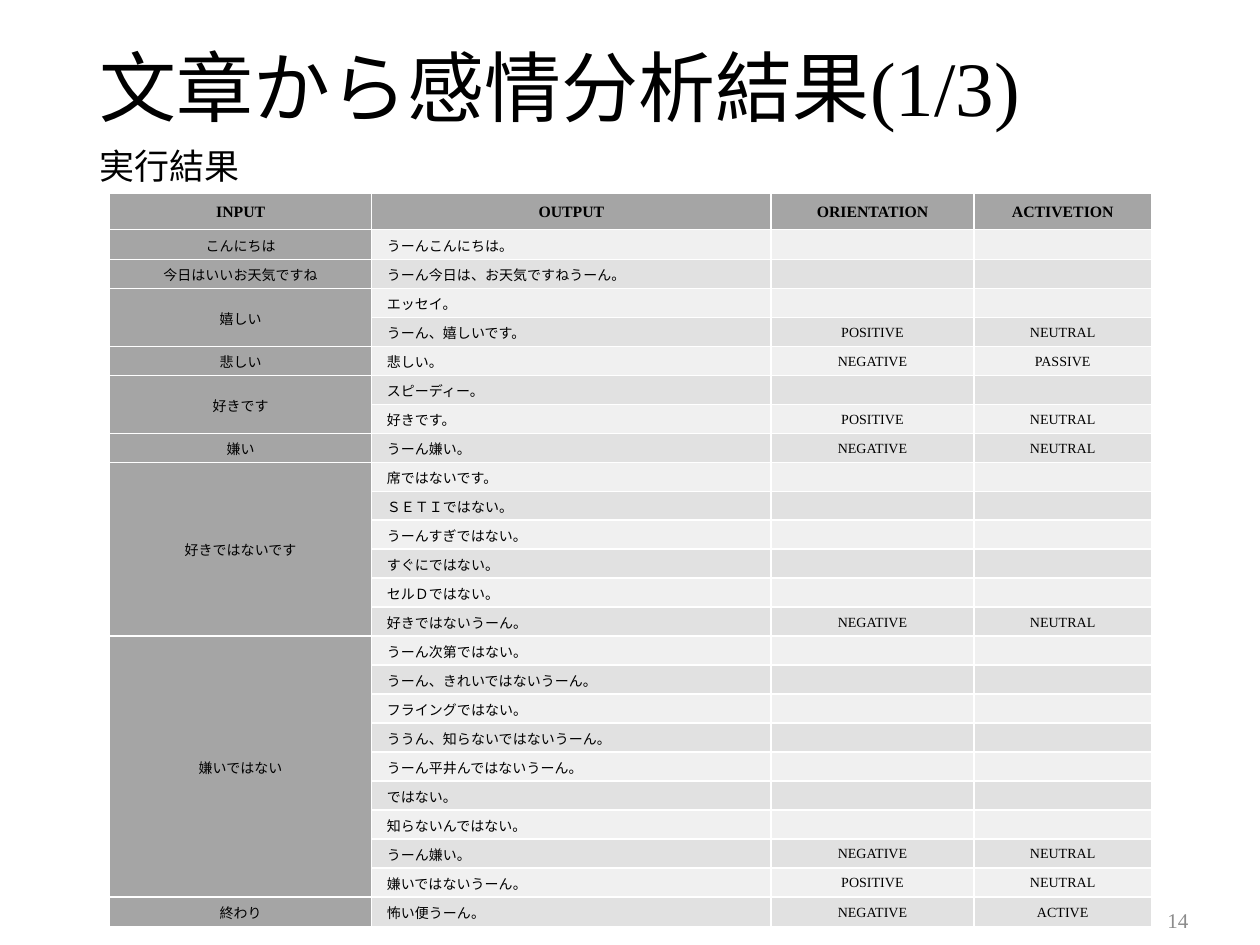
import pptx
import pptx.dml.color
import pptx.enum.text
import pptx.oxml.ns
import pptx.util
from lxml import etree

Inches, Pt = pptx.util.Inches, pptx.util.Pt
ALIGN = pptx.enum.text.PP_ALIGN
ANCHOR = pptx.enum.text.MSO_ANCHOR
AUTO_SIZE = pptx.enum.text.MSO_AUTO_SIZE
qn = pptx.oxml.ns.qn

HEADINGS = ["INPUT", "OUTPUT", "ORIENTATION", "ACTIVETION"]
COL_WIDTHS = [2.08, 3.17, 1.61, 1.41]

# Each input with its outputs: (sentence, orientation, activation)
RESULTS = [
    ("こんにちは", [("うーんこんにちは。",)]),
    ("今日はいいお天気ですね", [("うーん今日は、お天気ですねうーん。",)]),
    ("嬉しい", [("エッセイ。",), ("うーん、嬉しいです。", "POSITIVE", "NEUTRAL")]),
    ("悲しい", [("悲しい。", "NEGATIVE", "PASSIVE")]),
    ("好きです", [("スピーディー。",), ("好きです。", "POSITIVE", "NEUTRAL")]),
    ("嫌い", [("うーん嫌い。", "NEGATIVE", "NEUTRAL")]),
    ("好きではないです", [
        ("席ではないです。",),
        ("ＳＥＴＩではない。",),
        ("うーんすぎではない。",),
        ("すぐにではない。",),
        ("セルＤではない。",),
        ("好きではないうーん。", "NEGATIVE", "NEUTRAL"),
    ]),
    ("嫌いではない", [
        ("うーん次第ではない。",),
        ("うーん、きれいではないうーん。",),
        ("フライングではない。",),
        ("ううん、知らないではないうーん。",),
        ("うーん平井んではないうーん。",),
        ("ではない。",),
        ("知らないんではない。",),
        ("うーん嫌い。", "NEGATIVE", "NEUTRAL"),
        ("嫌いではないうーん。", "POSITIVE", "NEUTRAL"),
    ]),
    ("終わり", [("怖い便うーん。", "NEGATIVE", "ACTIVE")]),
]


def rgb(value):
    return pptx.dml.color.RGBColor.from_string(value)


class SlideBuilder:
    font = "Times New Roman"
    ink, muted, line = "000000", "8C8C8C", "FFFFFF"
    head, bands = "A5A5A5", ("F0F0F0", "E1E1E1")

    def __init__(self, prs):
        self.slide = prs.slides.add_slide(prs.slide_layouts[5])

    def format(self, p, size, color=ink, bold=False, align=ALIGN.LEFT):
        p.alignment = align
        for r in p.runs:
            r.font.name = self.font
            r.font.size = Pt(size)
            r.font.bold = bold
            r.font.color.rgb = rgb(color)

    def title(self, text, left, top, width, height):
        sp = self.slide.shapes.title
        sp.left, sp.top = Inches(left), Inches(top)
        sp.width, sp.height = Inches(width), Inches(height)
        tf = sp.text_frame
        tf.text = text
        tf.word_wrap = True
        tf.auto_size = AUTO_SIZE.NONE
        tf.vertical_anchor = ANCHOR.MIDDLE
        tf.paragraphs[0].line_spacing = 0.9
        self.format(tf.paragraphs[0], 44)

    def text(self, text, left, top, width, height, size, wrap=True,
             anchor=ANCHOR.TOP, **style):
        sp = self.slide.shapes.add_textbox(
            Inches(left), Inches(top), Inches(width), Inches(height))
        tf = sp.text_frame
        tf.text = text
        tf.word_wrap = wrap
        tf.vertical_anchor = anchor
        self.format(tf.paragraphs[0], size, **style)

    def cell(self, cell, text, fill, size=8, bold=False, align=ALIGN.CENTER):
        indented = align == ALIGN.LEFT
        cell.margin_left = Inches(0.12 if indented else 0.01)
        cell.margin_right = cell.margin_top = Inches(0.01)
        cell.margin_bottom = 0
        cell.vertical_anchor = ANCHOR.MIDDLE
        p = cell.text_frame.paragraphs[0]
        if text:
            p.text = text
        self.format(p, size, bold=bold, align=align)
        if not text:  # keeps an empty cell from stretching its row
            etree.SubElement(p._p, qn("a:endParaRPr"), sz=str(size * 100))
        self.borders(cell)
        cell.fill.solid()
        cell.fill.fore_color.rgb = rgb(fill)

    def borders(self, cell):
        tc_pr = cell._tc.get_or_add_tcPr()
        for side in ("a:lnL", "a:lnR", "a:lnT", "a:lnB"):
            ln = etree.SubElement(tc_pr, qn(side), w=str(Pt(1)))
            solid = etree.SubElement(ln, qn("a:solidFill"))
            etree.SubElement(solid, qn("a:srgbClr"), val=self.line)

    def results_table(self, left, top, headings, results, col_widths):
        count = sum(len(outputs) for _, outputs in results)
        heights = [0.29, 0.24] + [0.23] * (count - 2) + [0.24]
        table = self.slide.shapes.add_table(
            count + 1, len(headings), Inches(left), Inches(top),
            Inches(sum(col_widths)), Inches(sum(heights))).table
        table.first_row = table.horz_banding = False
        for column, width in zip(table.columns, col_widths):
            column.width = Inches(width)
        for row, height in zip(table.rows, heights):
            row.height = Inches(height)

        # Heading row
        for col, heading in enumerate(headings):
            self.cell(table.cell(0, col), heading, self.head, 9, bold=True)

        # One merged input cell beside its banded output rows
        row = 1
        for source, outputs in results:
            first = row
            for output, *labels in outputs:
                band = self.bands[(row - 1) % 2]
                self.cell(table.cell(row, 0),
                          source if row == first else "", self.head)
                self.cell(table.cell(row, 1), output, band, align=ALIGN.LEFT)
                for col, label in enumerate(labels or ("", ""), start=2):
                    self.cell(table.cell(row, col), label, band)
                row += 1
            if len(outputs) > 1:
                table.cell(first, 0).merge(table.cell(row - 1, 0))


def main():
    prs = pptx.Presentation()
    prs.slide_width, prs.slide_height = Inches(10), Inches(7.5)
    s = SlideBuilder(prs)

    # Title and subtitle
    s.title("文章から感情分析結果(1/3)", 0.69, 0.36, 8.62, 0.74)
    s.text("実行結果", 0.69, 1.1, 1.32, 0.44, 20, wrap=False)

    # Page number
    s.text("14", 7.28, 7.1, 2.25, 0.4, 12, anchor=ANCHOR.MIDDLE,
           color=s.muted, align=ALIGN.RIGHT)

    # Results
    s.results_table(0.87, 1.53, HEADINGS, RESULTS, COL_WIDTHS)

    prs.save("out.pptx")


if __name__ == "__main__":
    main()
